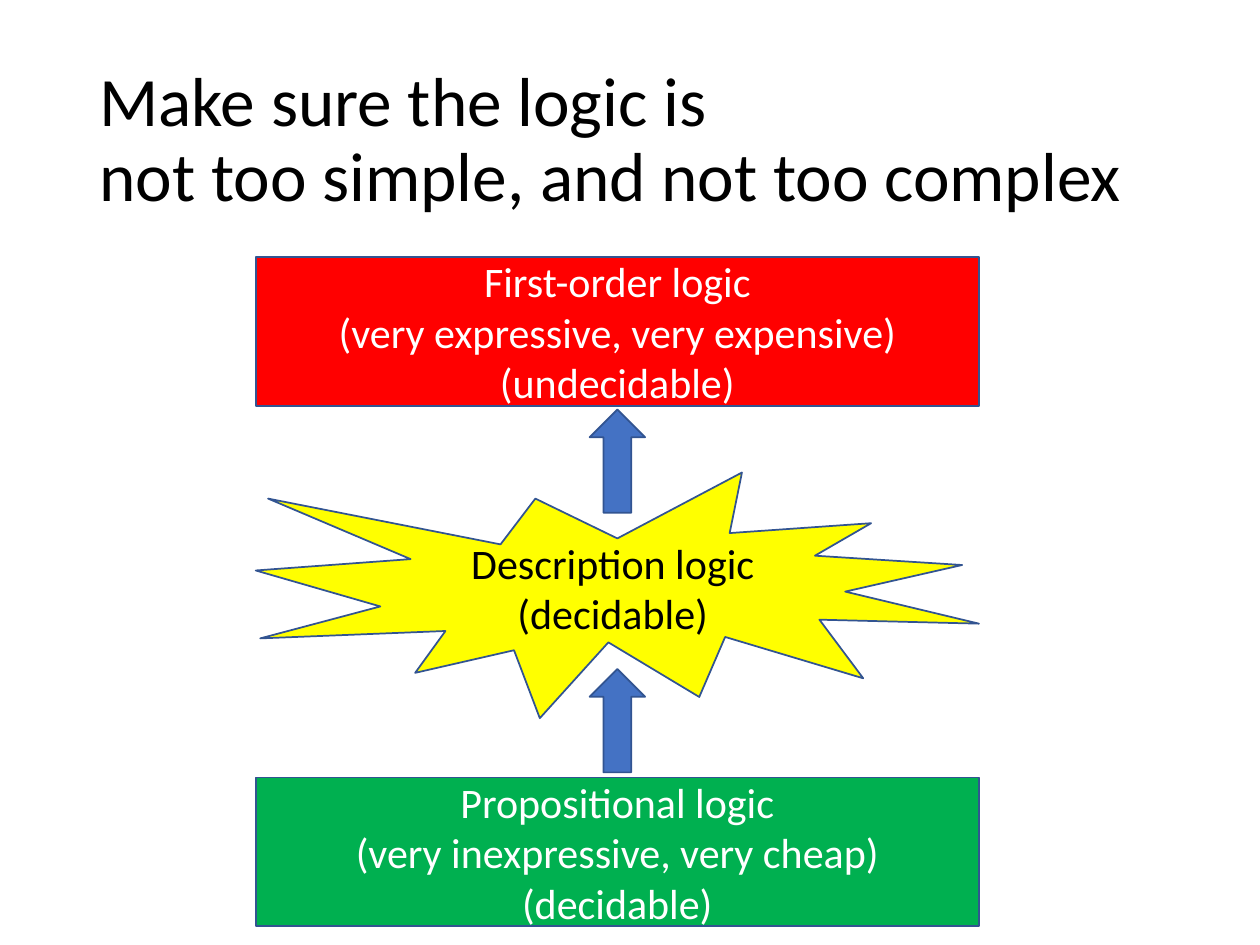
"""Build a slide that places description logic between two other logics."""
from pptx import Presentation
from pptx import util as u
from pptx.dml.color import RGBColor
from pptx.enum import shapes, text

WHITE = RGBColor(0xFF, 0xFF, 0xFF)
BLACK = RGBColor(0x00, 0x00, 0x00)
RED = RGBColor(0xFF, 0x00, 0x00)
GREEN = RGBColor(0x00, 0xB0, 0x50)
YELLOW = RGBColor(0xFF, 0xFF, 0x00)
BLUE = RGBColor(0x44, 0x72, 0xC4)
NAVY = RGBColor(0x32, 0x54, 0x91)

KIND = shapes.MSO_SHAPE


class Painter:
    """Hold the style and the current slide."""

    font = "Calibri"
    edge = NAVY
    width = u.Pt(1)

    def __init__(self, slide):
        self.slide = slide

    def label(self, frame, paras, size, color, align, space=None):
        """Fill a text frame, one run for each line of each paragraph."""
        frame.word_wrap = True
        frame.vertical_anchor = text.MSO_ANCHOR.MIDDLE
        for i, lines in enumerate(paras):
            para = frame.add_paragraph() if i else frame.paragraphs[0]
            para.alignment = align
            para.line_spacing = space
            for j, line in enumerate(lines.split("\n")):
                if j:
                    para.add_line_break()
                run = para.add_run()
                run.text = line
                run.font.name = self.font
                run.font.size = u.Pt(size)
                run.font.color.rgb = color

    def title(self, box, words):
        """Add the heading."""
        head = self.slide.shapes.add_textbox(*map(u.Inches, box))
        self.label(head.text_frame, [words], 39.6, BLACK,
                   text.PP_ALIGN.LEFT, 0.9)

    def shape(self, kind, box, fill):
        """Add a filled and outlined preset shape."""
        item = self.slide.shapes.add_shape(kind, *map(u.Inches, box))
        item.shadow.inherit = False
        item.fill.solid()
        item.fill.fore_color.rgb = fill
        item.line.color.rgb = self.edge
        item.line.width = self.width
        return item

    def logic(self, kind, top, height, fill, color, paras):
        """Add one labelled level of logic."""
        item = self.shape(kind, (2.03, top, 5.74, height), fill)
        self.label(item.text_frame, paras, 24, color, text.PP_ALIGN.CENTER)

    def arrow(self, top):
        """Add an upward block arrow."""
        self.shape(KIND.UP_ARROW, (4.68, top, 0.44, 0.82), BLUE)


def main():
    """Draw the slide and save it."""
    deck = Presentation()
    deck.slide_width, deck.slide_height = u.Inches(10), u.Inches(7.5)
    paint = Painter(deck.slides.add_slide(deck.slide_layouts[6]))

    paint.title((0.69, 0.4, 8.62, 1.45),
                "Make sure the logic is\nnot too simple, and not too complex")
    paint.logic(KIND.RECTANGLE, 2.04, 1.18, RED, WHITE,
                ["First-order logic",
                 "(very expressive, very expensive)\n(undecidable)"])
    paint.logic(KIND.RECTANGLE, 6.17, 1.18, GREEN, WHITE,
                ["Propositional logic",
                 "(very inexpressive, very cheap)\n(decidable)"])
    paint.logic(KIND.EXPLOSION1, 3.75, 1.95, YELLOW, BLACK,
                ["Description logic", "(decidable)"])
    for top in (3.25, 5.31):
        paint.arrow(top)

    deck.save("out.pptx")


if __name__ == "__main__":
    main()
